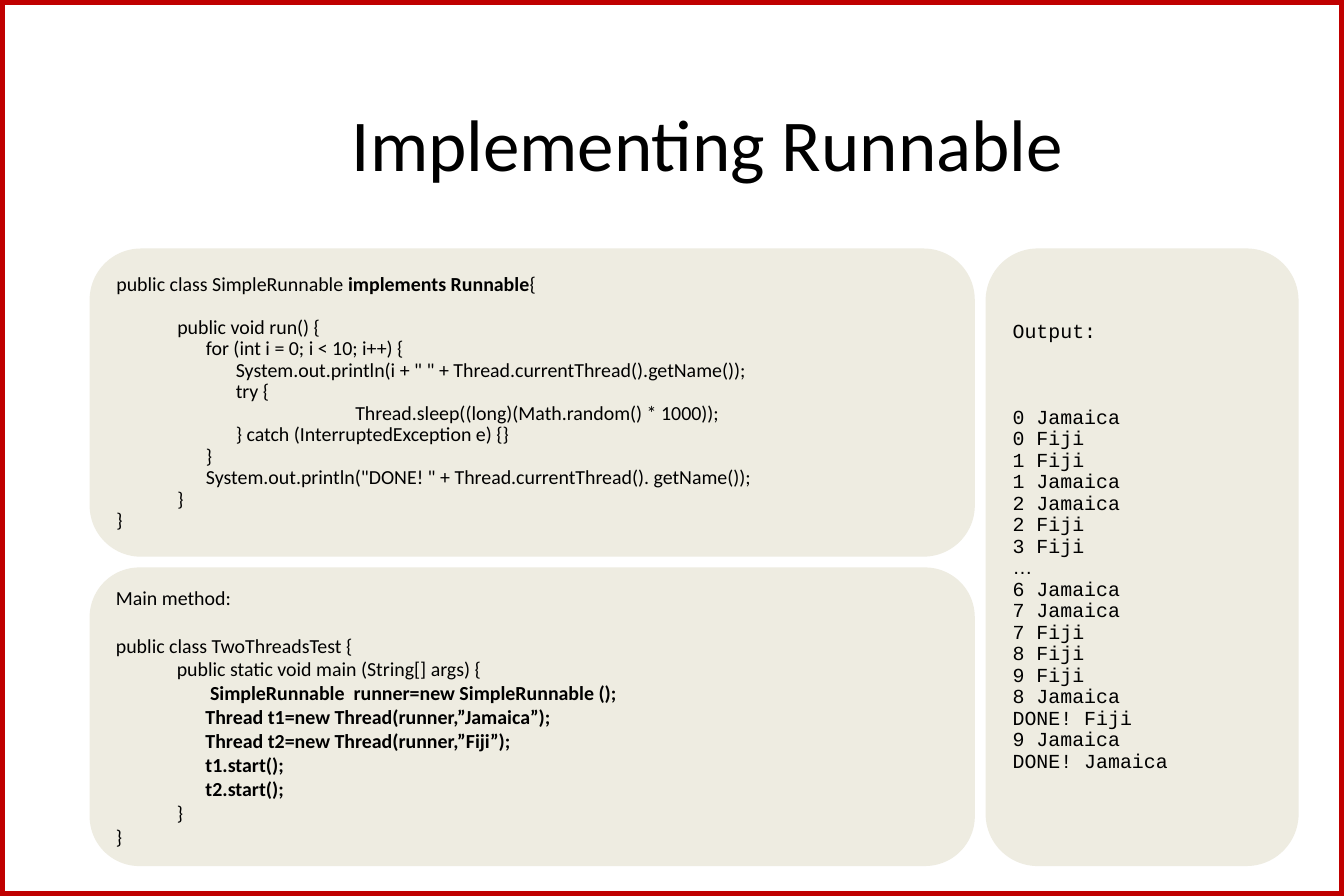
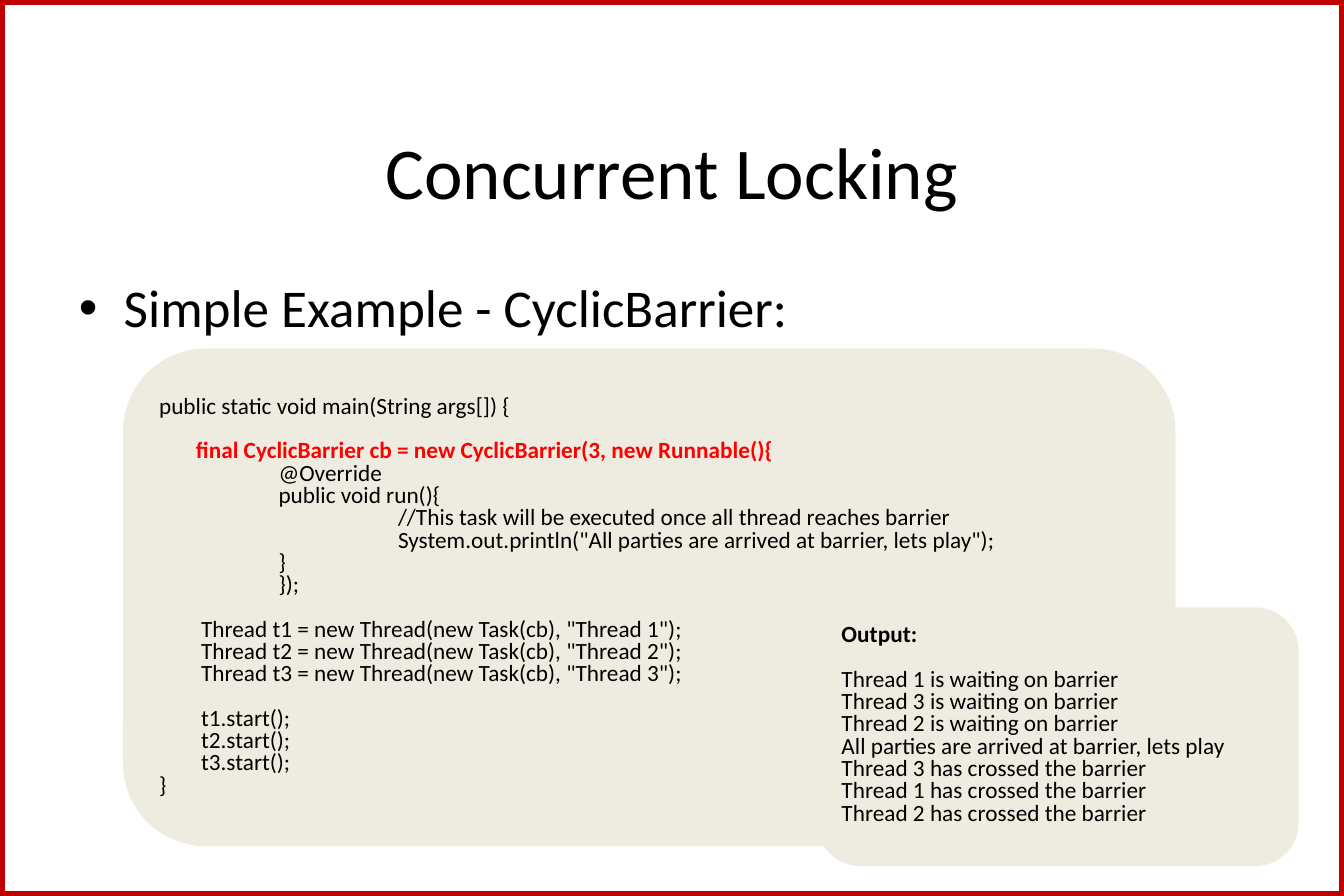
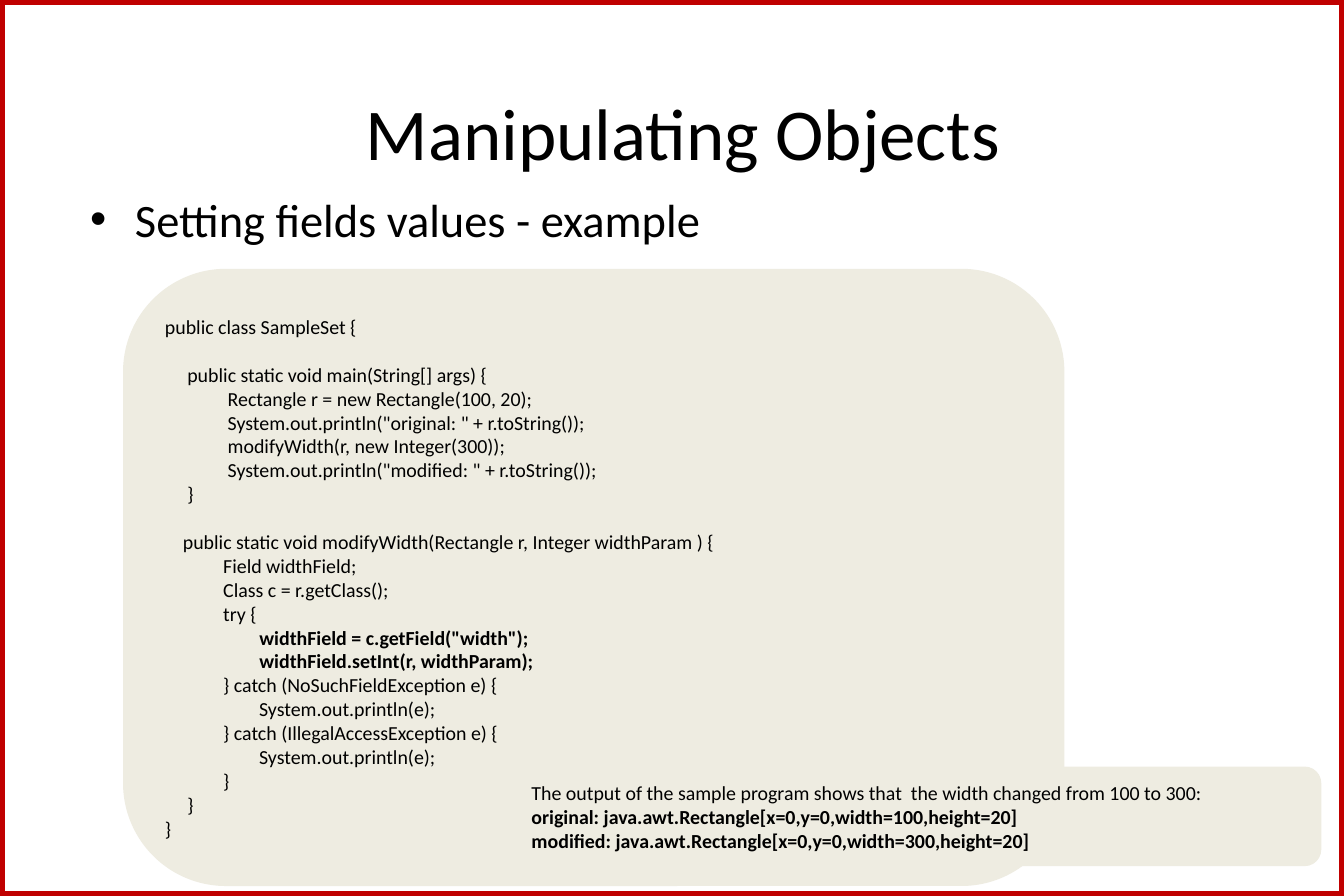
import lxml.etree
import pptx
import pptx.dml.color
import pptx.enum.shapes
import pptx.enum.text
import pptx.oxml.ns
import pptx.util

Pt = pptx.util.Pt
COLORS = {"border": "C00000", "panel": "EEECE1", "text": "000000", "alert": "FF0000"}
BLANK_LAYOUT = 6
LINE_HEIGHT = 1.2  # line pitch of single-spaced text, in font sizes
TAB_STOPS = (36.72, 54, 72, 144)
INSET = 3.6

# Code text: ** switches bold on and off, an empty line becomes a gap
RUNNABLE_CLASS = """public class SimpleRunnable **implements Runnable**{

\tpublic void run() {
\t\tfor (int i = 0; i < 10; i++) {
\t\t\tSystem.out.println(i + " " + Thread.currentThread().getName());
\t\t\ttry {
\t\t\t\tThread.sleep((long)(Math.random() * 1000));
\t\t\t} catch (InterruptedException e) {}
\t\t}
\t\tSystem.out.println("DONE! " + Thread.currentThread(). getName());
\t}
}"""

RUNNABLE_MAIN = """Main method:

public class TwoThreadsTest {
\tpublic static void main (String[] args) {
\t\t **SimpleRunnable  runner=new SimpleRunnable ();**
\t\t**Thread t1=new Thread(runner,”Jamaica”);**
\t\t**Thread t2=new Thread(runner,”Fiji”);**
\t\t**t1.start();**
\t\t**t2.start();**
\t}
}"""

RUNNABLE_OUTPUT = """Output:



0 Jamaica
0 Fiji
1 Fiji
1 Jamaica
2 Jamaica
2 Fiji
3 Fiji
…
6 Jamaica
7 Jamaica
7 Fiji
8 Fiji
9 Fiji
8 Jamaica
DONE! Fiji
9 Jamaica
DONE! Jamaica"""

BARRIER_MAIN = """public static void main(String args[]) {

       **final CyclicBarrier cb = new CyclicBarrier(3, new Runnable(){**
\t\t\t@Override
\t\t\tpublic void run(){
\t\t\t\t//This task will be executed once all thread reaches barrier
\t\t\t\tSystem.out.println("All parties are arrived at barrier, lets play");
\t\t\t}
\t\t\t});

        Thread t1 = new Thread(new Task(cb), "Thread 1");
        Thread t2 = new Thread(new Task(cb), "Thread 2");
        Thread t3 = new Thread(new Task(cb), "Thread 3");

        t1.start();
        t2.start();
        t3.start();
}"""

BARRIER_OUTPUT = """**Output:**

Thread 1 is waiting on barrier
Thread 3 is waiting on barrier
Thread 2 is waiting on barrier
All parties are arrived at barrier, lets play
Thread 3 has crossed the barrier
Thread 1 has crossed the barrier
Thread 2 has crossed the barrier"""

FIELD_CLASS = """public class SampleSet {

     public static void main(String[] args) {
              Rectangle r = new Rectangle(100, 20);
              System.out.println("original: " + r.toString());
              modifyWidth(r, new Integer(300));
              System.out.println("modified: " + r.toString());
     }

    public static void modifyWidth(Rectangle r, Integer widthParam ) {
             Field widthField;
             Class c = r.getClass();
             try {
                     **widthField = c.getField("width");**
                     **widthField.setInt(r, widthParam);**
             } catch (NoSuchFieldException e) {
                     System.out.println(e);
             } catch (IllegalAccessException e) {
                     System.out.println(e);
             }
     }
}"""

FIELD_OUTPUT = """The output of the sample program shows that  the width changed from 100 to 300:
**original: java.awt.Rectangle[x=0,y=0,width=100,height=20]**
**modified: java.awt.Rectangle[x=0,y=0,width=300,height=20]**"""

# Places are left, top, width, height in points
SLIDES = [
    {
        "title": ("Implementing Runnable", (43.2, 54, 766.8, 63)),
        "panels": [
            {"at": (54, 149.76, 533.52, 185.76), "code": RUNNABLE_CLASS, "spacing": 0.9},
            {"at": (54, 342, 533.52, 180), "code": RUNNABLE_MAIN},
            {"at": (594, 149.76, 188.64, 372.24), "code": RUNNABLE_OUTPUT, "spacing": 0.9,
             "font": "Courier New", "lines_below": 1},
        ],
    },
    {
        "title": ("Concurrent Locking", (40.5, 57.6, 729, 90)),
        "bullet": ("Simple Example - CyclicBarrier:", 32, (40.5, 162, 729, 48)),
        "panels": [
            {"at": (74.16, 210, 634.32, 300), "code": BARRIER_MAIN, "size": 14,
             "spacing": 0.8, "strong": "alert"},
            {"at": (492.48, 366, 290.16, 156), "code": BARRIER_OUTPUT, "size": 14,
             "spacing": 0.8, "lines_below": 1},
        ],
    },
    {
        "title": ("Manipulating Objects", (47.25, 34, 729, 90)),
        "bullet": ("Setting fields values - example", 28, (47.25, 111.6, 729, 44)),
        "panels": [
            {"at": (74.16, 162, 567.36, 372), "code": FIELD_CLASS},
            {"at": (310.32, 462, 486, 60), "code": FIELD_OUTPUT},
        ],
    },
]
PANEL_DEFAULTS = {"size": 12, "spacing": 1, "font": "Calibri", "strong": "text", "lines_below": 0}


def add_span(para, text, size, color="text", **font_values):
    span = para.add_run()
    span.text = text
    for name, value in {"name": "Calibri", "size": Pt(size), **font_values}.items():
        setattr(span.font, name, value)
    span.font.color.rgb = pptx.dml.color.RGBColor.from_string(COLORS[color])


def add_element(parent, tag, **attributes):
    element = lxml.etree.SubElement(parent, pptx.oxml.ns.qn(tag))
    for name, value in attributes.items():
        element.set(name, str(value))
    return element


deck = pptx.Presentation()
deck.slide_width, deck.slide_height = Pt(810), Pt(540)

for content in SLIDES:
    page = deck.slides.add_slide(deck.slide_layouts[BLANK_LAYOUT])

    # Border around the page
    border = page.shapes.add_shape(
        pptx.enum.shapes.MSO_SHAPE.RECTANGLE, 0, 0, deck.slide_width, deck.slide_height)
    border.shadow.inherit = False
    border.fill.background()
    border.line.color.rgb = pptx.dml.color.RGBColor.from_string(COLORS["border"])
    border.line.width = Pt(5.5)

    # Title
    title, place = content["title"]
    box = page.shapes.add_textbox(*map(Pt, place))
    box.text_frame.word_wrap = True
    box.text_frame.vertical_anchor = pptx.enum.text.MSO_ANCHOR.MIDDLE
    para = box.text_frame.paragraphs[0]
    para.alignment = pptx.enum.text.PP_ALIGN.CENTER
    add_span(para, title, 44)

    # Bullet line
    if "bullet" in content:
        text, size, place = content["bullet"]
        box = page.shapes.add_textbox(*map(Pt, place))
        box.text_frame.word_wrap = True
        para = box.text_frame.paragraphs[0]
        properties = para._p.get_or_add_pPr()
        properties.set("marL", str(Pt(27)))
        properties.set("indent", str(-Pt(27)))
        add_element(properties, "a:buFont", typeface="Arial")
        add_element(properties, "a:buChar", char="•")
        add_span(para, text, size)

    # Code and output panels
    for panel in content["panels"]:
        panel = {**PANEL_DEFAULTS, **panel}
        pitch = panel["size"] * LINE_HEIGHT * panel["spacing"]
        box = page.shapes.add_shape(
            pptx.enum.shapes.MSO_SHAPE.FLOWCHART_ALTERNATE_PROCESS, *map(Pt, panel["at"]))
        box.shadow.inherit = False
        box.fill.solid()
        box.fill.fore_color.rgb = pptx.dml.color.RGBColor.from_string(COLORS["panel"])
        box.line.fill.background()
        frame = box.text_frame
        frame.word_wrap = True
        frame.vertical_anchor = pptx.enum.text.MSO_ANCHOR.MIDDLE
        frame.margin_bottom = Pt(INSET + panel["lines_below"] * pitch)

        para, empty_lines = None, 0
        for line in panel["code"].split("\n"):
            if not line:
                empty_lines += 1
                continue
            para = frame.add_paragraph() if para else frame.paragraphs[0]
            if "\t" in line:
                tabs = add_element(para._p.get_or_add_pPr(), "a:tabLst")
                for stop in TAB_STOPS:
                    add_element(tabs, "a:tab", pos=Pt(stop), algn="l")
            para.alignment = pptx.enum.text.PP_ALIGN.LEFT
            para.line_spacing = Pt(pitch)
            if empty_lines:
                para.space_before = Pt(empty_lines * pitch)
                empty_lines = 0
            font_name = "Arial" if line == "…" else panel["font"]
            for index, text in enumerate(line.split("**")):
                strong = index % 2 == 1
                if text:
                    add_span(para, text, panel["size"], panel["strong"] if strong else "text",
                             name=font_name, bold=strong)

deck.save("out.pptx")
